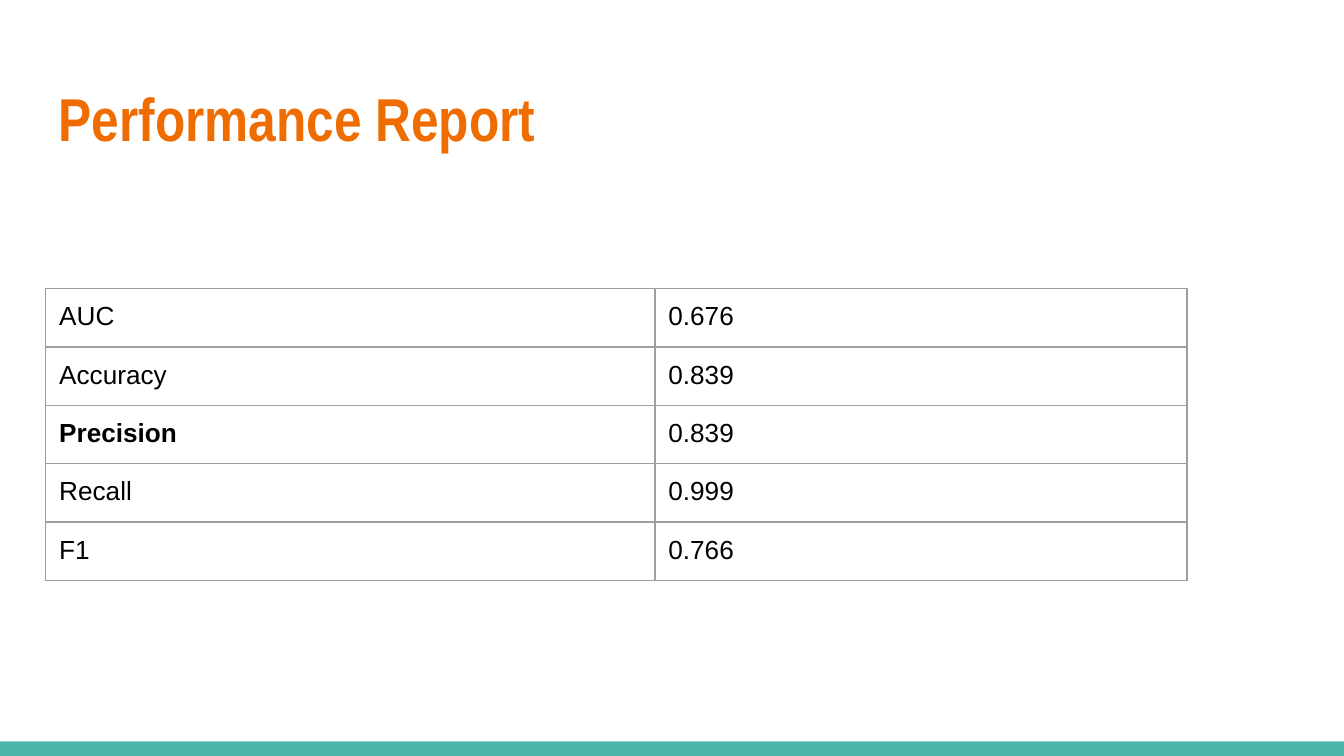
from lxml.etree import SubElement
from pptx import Presentation
from pptx.dml.color import RGBColor
from pptx.enum.shapes import MSO_SHAPE as Shape
from pptx.enum.text import MSO_ANCHOR as Anchor
from pptx.oxml.ns import qn
from pptx.util import Pt

COLORS = {"title": "EF6C00", "footer": "4DB6AC", "border": "9E9E9E",
          "text": "000000", "background": "FFFFFF"}
INSET = Pt(7.2)
METRICS = [("AUC", "0.676"), ("Accuracy", "0.839"), ("Precision", "0.839"),
           ("Recall", "0.999"), ("F1", "0.766")]
HIGHLIGHT = "Precision"


def color(name):
    return RGBColor.from_string(COLORS[name])


def set_insets(area):
    area.margin_left = area.margin_right = INSET
    area.margin_top = area.margin_bottom = INSET


def write(frame, words, font, size, color_name, bold=False):
    run = frame.paragraphs[0].add_run()
    run.text = words
    run.font.name = font
    run.font.size = Pt(size)
    run.font.bold = bold
    run.font.color.rgb = color(color_name)


def add_footer(slide, left, top, width, height):
    footer = slide.shapes.add_shape(
        Shape.RECTANGLE, Pt(left), Pt(top), Pt(width), Pt(height))
    footer.shadow.inherit = False
    footer.fill.solid()
    footer.fill.fore_color.rgb = color("footer")
    footer.line.fill.background()


def add_title(slide, left, top, width, height):
    title = slide.shapes.add_textbox(
        Pt(left), Pt(top), Pt(width), Pt(height)).text_frame
    title.word_wrap = True
    title.vertical_anchor = Anchor.MIDDLE
    set_insets(title)
    write(title, "Performance Report", "Arial Narrow", 32.4, "title", True)


def add_borders(cell):
    properties = cell._tc.get_or_add_tcPr()
    for position, side in enumerate(("a:lnL", "a:lnR", "a:lnT", "a:lnB")):
        border = SubElement(properties, qn(side), w=str(Pt(0.75)))
        fill = SubElement(border, qn("a:solidFill"))
        SubElement(fill, qn("a:srgbClr"), val=COLORS["border"])
        properties.insert(position, border)


def add_metrics(slide, left, top, width, height):
    table = slide.shapes.add_table(
        len(METRICS), 2, Pt(left), Pt(top), Pt(width), Pt(height)).table
    table.first_row = table.horz_banding = False
    label_width = 326.4
    table.columns[0].width = Pt(label_width)
    table.columns[1].width = Pt(width - label_width)
    for row, metric in zip(table.rows, METRICS):
        row.height = Pt(height / len(METRICS))
        for cell, words in zip(row.cells, metric):
            set_insets(cell)
            cell.fill.background()
            add_borders(cell)
            write(cell.text_frame, words, "Arial", 14, "text", words == HIGHLIGHT)


def main():
    deck = Presentation()
    deck.slide_width, deck.slide_height = Pt(720), Pt(405)
    slide = deck.slides.add_slide(deck.slide_layouts[6])
    slide.background.fill.solid()
    slide.background.fill.fore_color.rgb = color("background")
    add_footer(slide, 0, 397.2, 720, 7.8)
    add_title(slide, 24.5, 35.3, 671, 55.4)
    add_metrics(slide, 24.5, 154.7, 611.4, 150.5)
    deck.save("out.pptx")


if __name__ == "__main__":
    main()
